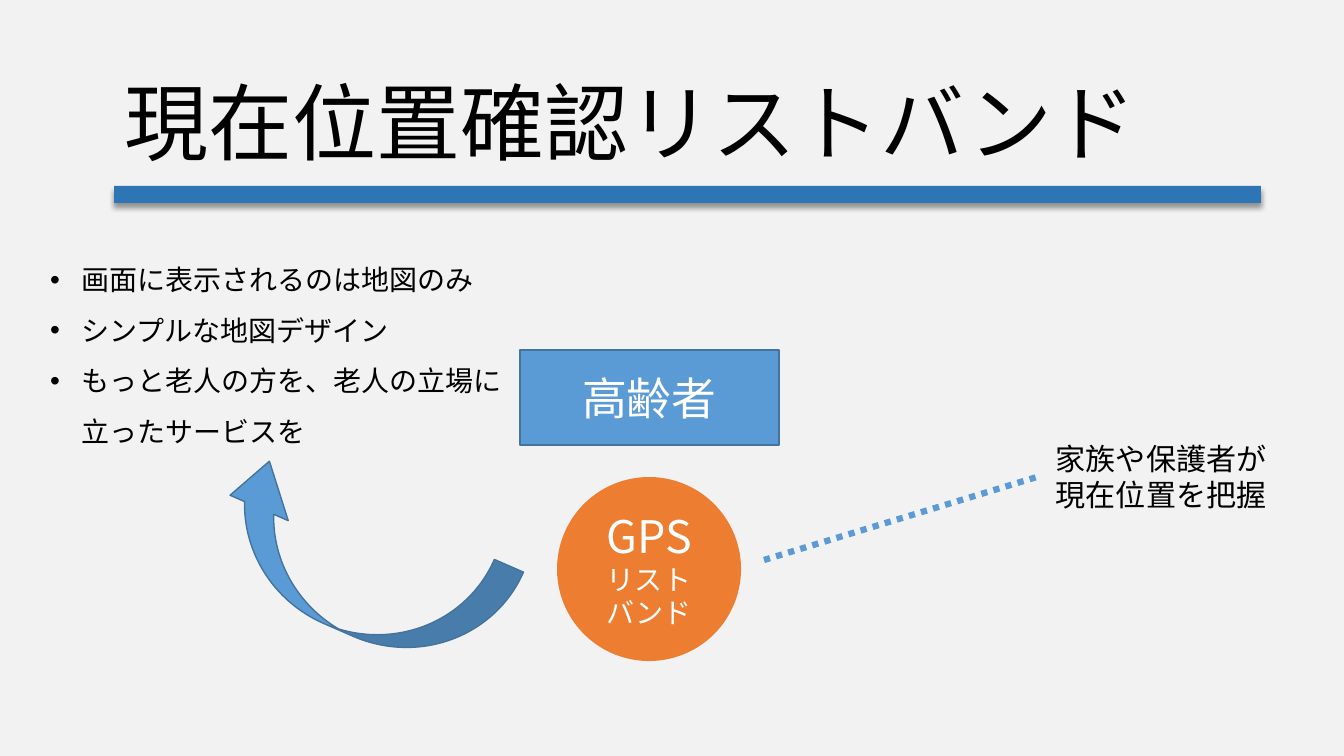
import pptx
import pptx.dml.color
import pptx.enum.dml
import pptx.enum.shapes
import pptx.enum.text
import pptx.oxml.ns
import pptx.util
import lxml.etree
from dataclasses import dataclass

TITLE = "現在位置確認リストバンド"
POINTS = ["画面に表示されるのは地図のみ", "シンプルな地図デザイン",
          "もっと老人の方を、老人の立場に立ったサービスを"]
PERSON = ["高齢者"]
DEVICE = ["GPS", "リストバンド"]
CAPTION = ["家族や保護者が", "現在位置を把握"]

# Boxes are left, top, width, height in pixels
TITLE_BOX = (114, 65, 1113, 112)
RULE_BOX = (114, 186, 1147, 17)
PERSON_BOX = (520, 350, 259, 95)
DEVICE_BOX = (557, 477, 184, 184)
ARROW_BOX = (293, 414, 127, 309)
POINTS_LEFT, POINTS_TOP, POINTS_HEIGHT = 40, 241, 214
# The list stops where the blue box begins
POINTS_BOX = (POINTS_LEFT, POINTS_TOP, PERSON_BOX[0] - POINTS_LEFT, POINTS_HEIGHT)
CAPTION_BOX = (1046, 417, 239, 102)
LINK_ENDS = (764, 560, 1037, 477)
BULLET_INDENT = 31
ARROW_TURN = 113.6
ARROW_ADJUSTMENTS = (0.25, 0.5, 0.37)


@dataclass(frozen=True)
class Theme:
    """Colours, fonts and type sizes of the slide."""
    background: str = "F2F2F2"
    rule: str = "2E75B6"
    blue: str = "5B9BD5"
    outline: str = "43739E"
    orange: str = "ED7D31"
    dark: str = "000000"
    light: str = "FFFFFF"
    latin: str = "Arial"
    japanese: str = "Noto Sans CJK JP"
    title: float = 60
    large: float = 32
    normal: float = 20
    caption: float = 21.5


THEME = Theme()
SHAPES = pptx.enum.shapes.MSO_SHAPE
ALIGN = pptx.enum.text.PP_ALIGN
ANCHOR = pptx.enum.text.MSO_ANCHOR


def px(*lengths):
    """Turn pixels into EMU."""
    return [pptx.util.Inches(length / 100.8) for length in lengths]


def color(value):
    """Turn a hex string into a colour."""
    return pptx.dml.color.RGBColor.from_string(value)


def add_xml(parent, tag, **attributes):
    """Append a drawing element and return it."""
    return lxml.etree.SubElement(parent, pptx.oxml.ns.qn(tag), attributes)


def place(shape, box):
    """Move and size a shape."""
    shape.left, shape.top, shape.width, shape.height = px(*box)


def write(shape, lines, sizes, ink=THEME.dark, font=THEME.japanese, align=ALIGN.LEFT,
          anchor=ANCHOR.TOP, spacings=(1,), indent=0):
    """Fill a shape with paragraphs; the last size and spacing repeat."""
    frame = shape.text_frame
    frame.text = "\n".join(lines)
    frame.word_wrap = True
    frame.auto_size = pptx.enum.text.MSO_AUTO_SIZE.NONE
    frame.vertical_anchor = anchor
    for index, paragraph in enumerate(frame.paragraphs):
        paragraph.alignment = align
        paragraph.line_spacing = float(spacings[min(index, len(spacings) - 1)])
        paragraph.space_before = pptx.util.Pt(0)
        if indent:
            properties = paragraph._p.get_or_add_pPr()
            margin, = px(indent)
            properties.set("marL", str(margin))
            properties.set("indent", str(-margin))
        run = paragraph.runs[0]
        run.font.size = pptx.util.Pt(sizes[min(index, len(sizes) - 1)])
        run.font.color.rgb = color(ink)
        run.font.name = font
        add_xml(run.font._element, "a:ea", typeface=THEME.japanese)


def add_preset(slide, preset, box, fill, outline=None):
    """Add a flat preset shape."""
    shape = slide.shapes.add_shape(preset, *px(*box))
    shape.shadow.inherit = False
    shape.fill.solid()
    shape.fill.fore_color.rgb = color(fill)
    if outline:
        shape.line.color.rgb = color(outline)
        shape.line.width = pptx.util.Pt(1)
    else:
        shape.line.fill.background()
    return shape


def drop_shadow(shape):
    """Cast a soft shadow straight down."""
    effects = shape._element.spPr.find(pptx.oxml.ns.qn("a:effectLst"))
    shadow = add_xml(effects, "a:outerShdw", blurRad="50800", dist="38100", dir="5400000")
    tint = add_xml(shadow, "a:srgbClr", val=THEME.dark)
    add_xml(tint, "a:alpha", val="40000")


def add_link(slide, ends):
    """Add the dotted line from the wristband to the family."""
    link = slide.shapes.add_connector(pptx.enum.shapes.MSO_CONNECTOR.STRAIGHT, *px(*ends))
    link.line.color.rgb = color(THEME.blue)
    link.line.width = pptx.util.Pt(4.5)
    link.line.dash_style = pptx.enum.dml.MSO_LINE.ROUND_DOT
    add_xml(link._element.spPr, "a:effectLst")


def build():
    """Build the slide and save it."""
    presentation = pptx.Presentation()
    presentation.slide_width, presentation.slide_height = px(1344, 756)
    slide = presentation.slides.add_slide(presentation.slide_layouts[1])
    slide.background.fill.solid()
    slide.background.fill.fore_color.rgb = color(THEME.background)

    title, points = slide.shapes.title, slide.placeholders[1]
    place(title, TITLE_BOX)
    write(title, [TITLE], [THEME.title], font=THEME.latin)
    drop_shadow(add_preset(slide, SHAPES.RECTANGLE, RULE_BOX, THEME.rule))

    place(points, POINTS_BOX)
    write(points, POINTS, [THEME.normal], spacings=[1.5], indent=BULLET_INDENT)

    centred = {"ink": THEME.light, "align": ALIGN.CENTER, "anchor": ANCHOR.MIDDLE}
    person = add_preset(slide, SHAPES.RECTANGLE, PERSON_BOX, THEME.blue, THEME.outline)
    write(person, PERSON, [THEME.large], **centred)
    device = add_preset(slide, SHAPES.OVAL, DEVICE_BOX, THEME.orange)
    write(device, DEVICE, [THEME.large, THEME.normal], **centred)

    arrow = add_preset(slide, SHAPES.CURVED_LEFT_ARROW, ARROW_BOX, THEME.blue, THEME.outline)
    arrow.rotation = ARROW_TURN
    for index, value in enumerate(ARROW_ADJUSTMENTS):
        arrow.adjustments[index] = value

    add_link(slide, LINK_ENDS)
    caption = slide.shapes.add_textbox(*px(*CAPTION_BOX))
    write(caption, CAPTION, [THEME.caption], spacings=[1.5, 1])
    presentation.save("out.pptx")


build()
